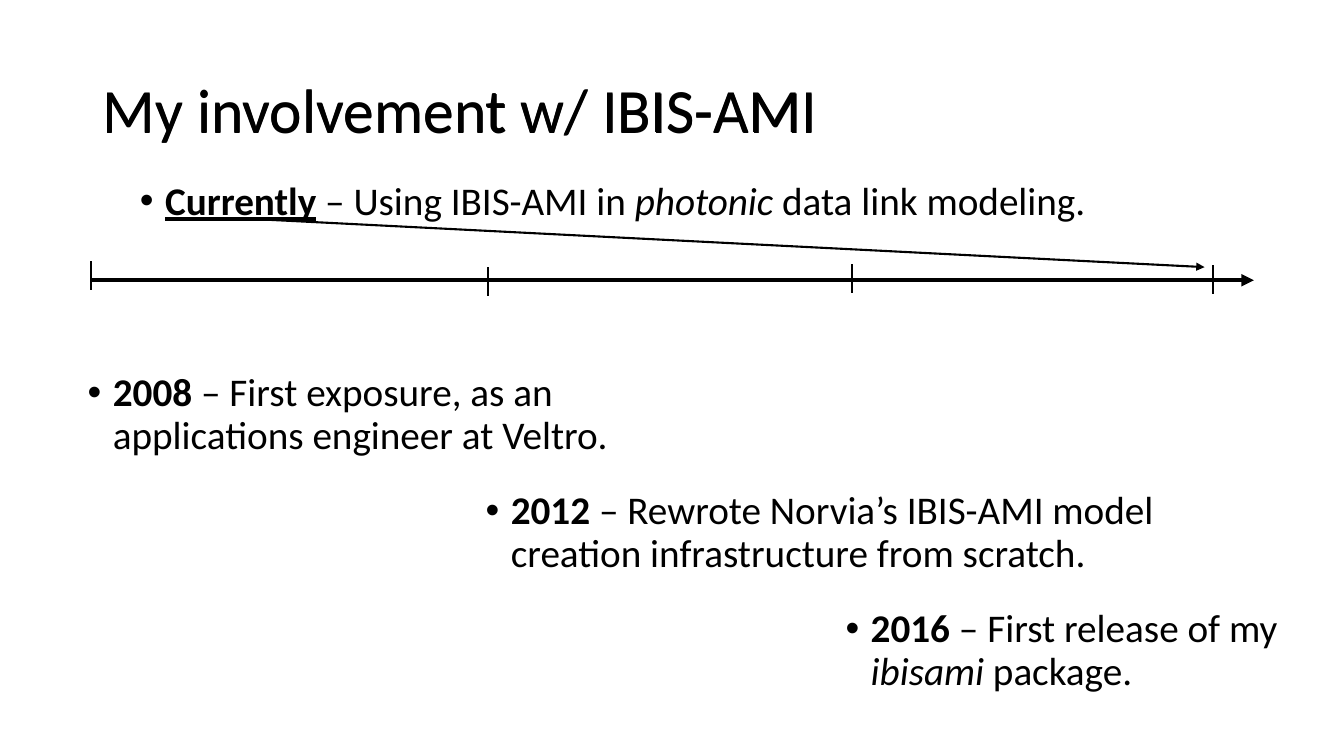
from dataclasses import dataclass

from lxml.etree import SubElement
from pptx import Presentation
from pptx.dml.color import RGBColor
from pptx.enum.shapes import MSO_CONNECTOR
from pptx.enum.text import MSO_ANCHOR as Anchor, MSO_AUTO_SIZE as AutoSize, PP_ALIGN as Align
from pptx.oxml.ns import qn
from pptx.util import Inches, Pt


@dataclass(frozen=True)
class Theme:
    font: str = "Calibri"
    ink: RGBColor = RGBColor(0, 0, 0)
    title: int = 44
    body: int = 28
    axis: float = 3
    thin: float = 1.5


theme = Theme()
COLUMNS, ROWS = 40, 30

deck = Presentation()
deck.slide_width, deck.slide_height = Inches(40 / 3), Inches(7.5)


def cells(left, top, width, height):
    """Turn grid columns and rows into slide lengths."""
    column, row = deck.slide_width / COLUMNS, deck.slide_height / ROWS
    return int(left * column), int(top * row), int(width * column), int(height * row)


def write(box, area, runs, size, anchor=Anchor.TOP, bullet=False, before=0):
    """Place a box and fill it with (text, style letters) runs."""
    box.left, box.top, box.width, box.height = cells(*area)
    frame = box.text_frame
    frame.word_wrap, frame.auto_size, frame.vertical_anchor = True, AutoSize.NONE, anchor
    para = frame.paragraphs[0]
    para.alignment, para.line_spacing, para.space_before = Align.LEFT, 0.9, Pt(before)
    if bullet:
        settings = para._p.get_or_add_pPr()
        settings.set("marL", str(Inches(0.25)))
        settings.set("indent", str(-Inches(0.25)))
        SubElement(settings, qn("a:buFont"), typeface="Arial")
        SubElement(settings, qn("a:buChar"), char="•")
    for text, style in runs:
        for number, line in enumerate(text.split("\n")):
            if number:
                para.add_line_break()
            if not line:
                continue
            span = para.add_run()
            span.text = line
            font = span.font
            font.name, font.size, font.color.rgb = theme.font, Pt(size), theme.ink
            font.bold, font.italic, font.underline = "b" in style, "i" in style, "u" in style


page = deck.slides.add_slide(deck.slide_layouts[1])
title, first_event = page.placeholders

# Title, doubled by a text box a hair above it for a heavier look
heading = [("My involvement w/ IBIS-AMI", "")]
for box, top in ((title, 1.6), (page.shapes.add_textbox(0, 0, 0, 0), 1.56)):
    write(box, (2.76, top, 34.5, 5.8), heading, theme.title, anchor=Anchor.MIDDLE)

# Events, stepping down the page, and the current work above the axis
EVENT_TOP, EVENT_STEP, EVENT_HEIGHT = 14.6, 4.68, 3.92
events = [
    (2.31, EVENT_TOP, 34.5,
     [("2008", "b"), (" – First exposure, as an\napplications engineer at Veltro.", "")]),
    (14.16, EVENT_TOP + EVENT_STEP, 20.79,
     [("2012", "b"),
      (" – Rewrote Norvia’s IBIS-AMI model creation infrastructure from scratch.", "")]),
    (24.87, EVENT_TOP + 2 * EVENT_STEP, 13.89,
     [("2016", "b"), (" – First release of my\n", ""), ("ibisami", "i"), (" package.", "")]),
    (3.87, 7, 32.97,
     [("Currently", "bu"), (" – Using IBIS-AMI in ", ""), ("photonic", "i"),
      (" data link modeling.", "")]),
]
for number, (left, top, width, runs) in enumerate(events):
    box = page.shapes.add_textbox(0, 0, 0, 0) if number else first_event
    write(box, (left, top, width, EVENT_HEIGHT), runs, theme.body, bullet=True, before=10)

# Time axis, pointer from the current work, and year ticks
TICK = 1.16
axis = (2.7, 11.12, 37.32, 11.12, theme.axis, True)
pointer = (7.35, 8.68, 35.85, 10.6, theme.thin, True)
ticks = [(column, top, column, top + TICK, theme.thin, False)
         for column, top in ((2.7, 10.36), (14.52, 10.6), (25.35, 10.48), (36.09, 10.52))]
for *ends, weight, arrow in [axis, pointer, *ticks]:
    line = page.shapes.add_connector(MSO_CONNECTOR.STRAIGHT, *cells(*ends))
    line.line.width, line.line.color.rgb = Pt(weight), theme.ink
    if arrow:
        SubElement(line.line._get_or_add_ln(), qn("a:tailEnd"), type="triangle")
    SubElement(line._element.spPr, qn("a:effectLst"))

deck.save("out.pptx")
